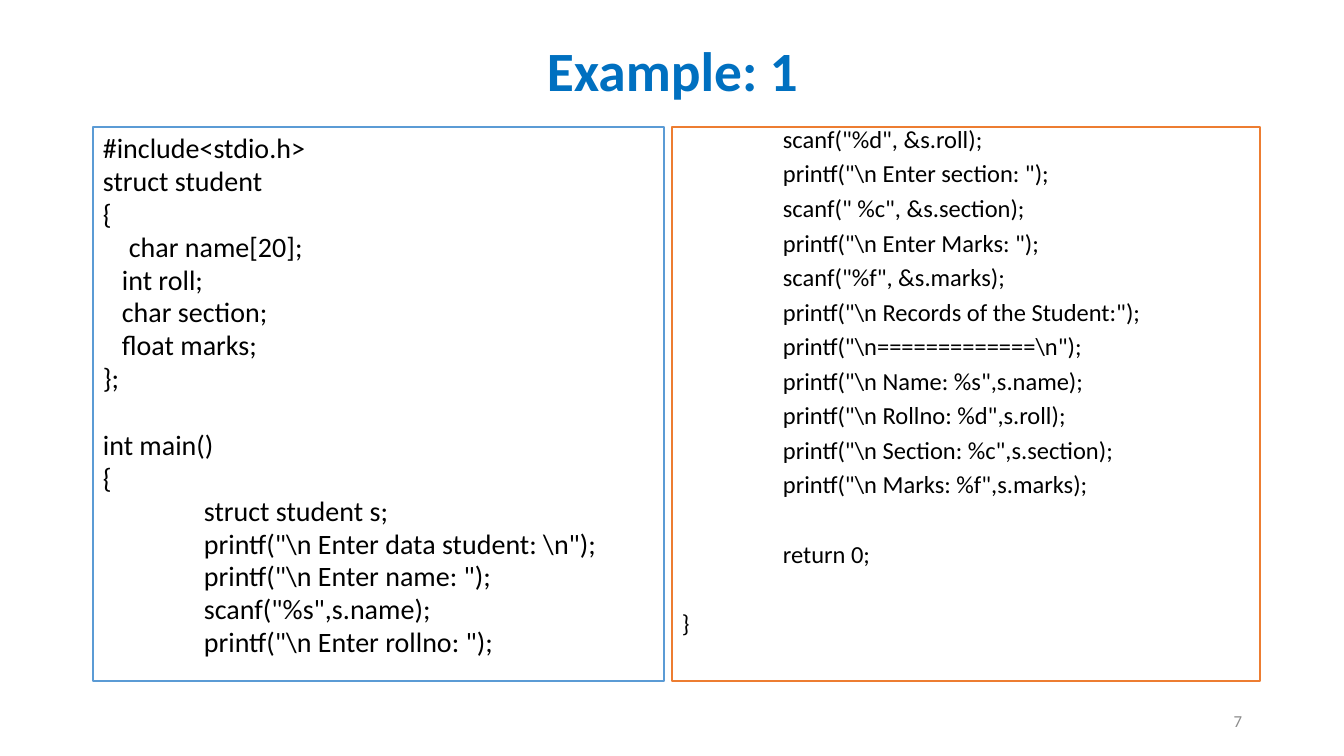
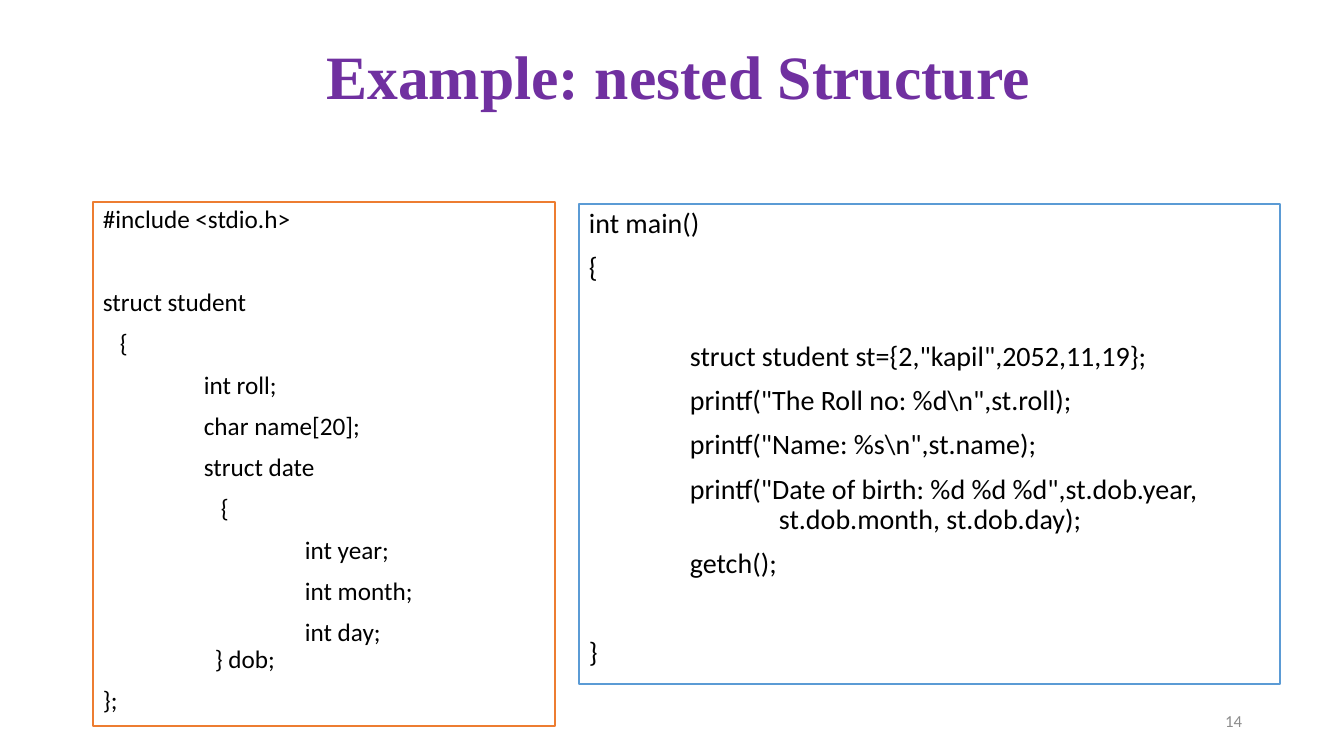
"""Build two slides of C structure examples, each with two framed code panels."""
from dataclasses import dataclass

from pptx import Presentation
from pptx.dml.color import RGBColor
from pptx.enum.shapes import MSO_SHAPE
from pptx.enum.text import MSO_ANCHOR, PP_ALIGN
from pptx.util import Emu, Pt

RECTANGLE = MSO_SHAPE.RECTANGLE
TOP, MIDDLE = MSO_ANCHOR.TOP, MSO_ANCHOR.MIDDLE
LEFT, CENTER, RIGHT = PP_ALIGN.LEFT, PP_ALIGN.CENTER, PP_ALIGN.RIGHT

SLIDE_WIDTH, SLIDE_HEIGHT = 1344, 756
EMU_PER_PIXEL = 12192000 / SLIDE_WIDTH
LINE_HEIGHT = 1.22
TAB = 101

BODY_FONT, SERIF_FONT = "Calibri", "Times New Roman"
BLACK, WHITE, GRAY = "000000", "FFFFFF", "8C8C8C"
TITLE_BLUE, TITLE_PURPLE = "0070C0", "7030A0"
FRAME_BLUE, FRAME_ORANGE = "5B9BD5", "ED7D31"
PAGE_NUMBER_BOX = (950, 701, 302, 40)

Box = tuple[int, int, int, int]


@dataclass(frozen=True)
class Line:
    """One line of text, its indent in pixels and its distance from the line above."""
    text: str
    indent: int = 0
    blank_before: bool = False
    joined: bool = False


@dataclass(frozen=True)
class Title:
    """A slide title and its look."""
    text: str
    box: Box
    size: float
    color: str
    font: str


@dataclass(frozen=True)
class Panel:
    """A framed code listing."""
    box: Box
    frame: str
    size: float
    spacing: float
    before: float
    lines: list[Line]


@dataclass(frozen=True)
class Page:
    """The content of one slide."""
    number: int
    title: Title
    panels: list[Panel]


def px(pixels: float) -> Emu:
    """Turn pixels into EMU."""
    return Emu(round(pixels * EMU_PER_PIXEL))


def rgb(color: str) -> RGBColor:
    """Turn a hex string into a colour."""
    return RGBColor.from_string(color)


def block(indent: int, *texts: str) -> list[Line]:
    """Give several lines the same indent."""
    return [Line(text, indent) for text in texts]


def write(shape, lines: list[Line], *, size: float, color: str = BLACK,
          font: str = BODY_FONT, bold: bool = False, align=LEFT, anchor=TOP,
          spacing: float = 1.0, before: float = 0) -> None:
    """Write formatted lines into a shape."""
    frame = shape.text_frame
    frame.word_wrap = True
    frame.vertical_anchor = anchor
    for index, line in enumerate(lines):
        paragraph = frame.add_paragraph() if index else frame.paragraphs[0]
        paragraph.alignment = align
        paragraph.line_spacing = spacing
        gap = 0 if line.joined else before
        if line.blank_before:
            gap += before + size * LINE_HEIGHT * spacing
        paragraph.space_before = Pt(round(gap, 1))
        if line.indent:
            paragraph._p.get_or_add_pPr().set("marL", str(px(line.indent)))
        run = paragraph.add_run()
        run.text = line.text
        run.font.name = font
        run.font.size = Pt(size)
        run.font.bold = bold
        run.font.color.rgb = rgb(color)


def add_label(slide, box: Box, text: str, **text_format) -> None:
    """Add a line of unframed text, centred vertically."""
    label = slide.shapes.add_textbox(*map(px, box))
    write(label, [Line(text)], anchor=MIDDLE, **text_format)


def add_panel(slide, panel: Panel) -> None:
    """Add a white framed panel with its code."""
    shape = slide.shapes.add_shape(RECTANGLE, *map(px, panel.box))
    shape.shadow.inherit = False
    shape.fill.solid()
    shape.fill.fore_color.rgb = rgb(WHITE)
    shape.line.color.rgb = rgb(panel.frame)
    shape.line.width = Pt(1)
    write(shape, panel.lines, size=panel.size, spacing=panel.spacing, before=panel.before)


def add_page(presentation, page: Page) -> None:
    """Add one slide with title, panels and page number."""
    slide = presentation.slides.add_slide(presentation.slide_layouts[6])
    title = page.title
    add_label(slide, title.box, title.text, size=title.size, color=title.color,
              font=title.font, bold=True, align=CENTER, spacing=0.9)
    for panel in page.panels:
        add_panel(slide, panel)
    add_label(slide, PAGE_NUMBER_BOX, str(page.number), size=12, color=GRAY, align=RIGHT)


STUDENT_INPUT = [
    *block(0, "#include<stdio.h>", "struct student", "{"),
    Line("char name[20];", 26),
    *block(19, "int roll;", "char section;", "float marks;"),
    Line("};"),
    Line("int main()", blank_before=True),
    Line("{"),
    *block(TAB, "struct student s;", r'printf("\n Enter data student: \n");',
           r'printf("\n Enter name: ");', 'scanf("%s",s.name);',
           r'printf("\n Enter rollno: ");'),
]

STUDENT_OUTPUT = [
    *block(TAB, 'scanf("%d", &s.roll);', r'printf("\n Enter section: ");',
           'scanf(" %c", &s.section);', r'printf("\n Enter Marks: ");',
           'scanf("%f", &s.marks);', r'printf("\n Records of the Student:");',
           r'printf("\n=============\n");', r'printf("\n Name: %s",s.name);',
           r'printf("\n Rollno: %d",s.roll);', r'printf("\n Section: %c",s.section);',
           r'printf("\n Marks: %f",s.marks);'),
    Line("return 0;", TAB, blank_before=True),
    Line("}", blank_before=True),
]

NESTED_STRUCTURE = [
    Line("#include <stdio.h>"),
    Line("struct student", blank_before=True),
    Line("{", 17),
    *block(TAB, "int roll;", "char name[20];", "struct date"),
    Line("{", TAB + 17),
    *block(2 * TAB, "int year;", "int month;", "int day;"),
    Line("} dob;", TAB + 11, joined=True),
    Line("};"),
]

NESTED_MAIN = [
    *block(0, "int main()", "{"),
    Line('struct student st={2,"kapil",2052,11,19};', TAB, blank_before=True),
    *block(TAB, r'printf("The Roll no: %d\n",st.roll);', r'printf("Name: %s\n",st.name);',
           'printf("Date of birth: %d %d %d",st.dob.year,'),
    Line("st.dob.month, st.dob.day);", 190, joined=True),
    Line("getch();", TAB),
    Line("}", blank_before=True),
]

PAGES = [
    Page(7, Title("Example: 1", (93, 40, 1159, 67), 39.6, TITLE_BLUE, BODY_FONT), [
        Panel((93, 127, 571, 554), FRAME_BLUE, 20, 0.98, 0, STUDENT_INPUT),
        Panel((672, 127, 588, 554), FRAME_ORANGE, 17.5, 0.7, 10, STUDENT_OUTPUT),
    ]),
    Page(14, Title("Example: nested Structure", (105, 40, 1147, 79), 44,
                   TITLE_PURPLE, SERIF_FONT), [
        Panel((93, 202, 462, 524), FRAME_ORANGE, 18, 0.9, 10, NESTED_STRUCTURE),
        Panel((579, 204, 701, 480), FRAME_BLUE, 20, 0.9, 10, NESTED_MAIN),
    ]),
]


def main() -> None:
    """Build and save the presentation."""
    presentation = Presentation()
    presentation.slide_width = px(SLIDE_WIDTH)
    presentation.slide_height = px(SLIDE_HEIGHT)
    for page in PAGES:
        add_page(presentation, page)
    presentation.save("out.pptx")


main()
